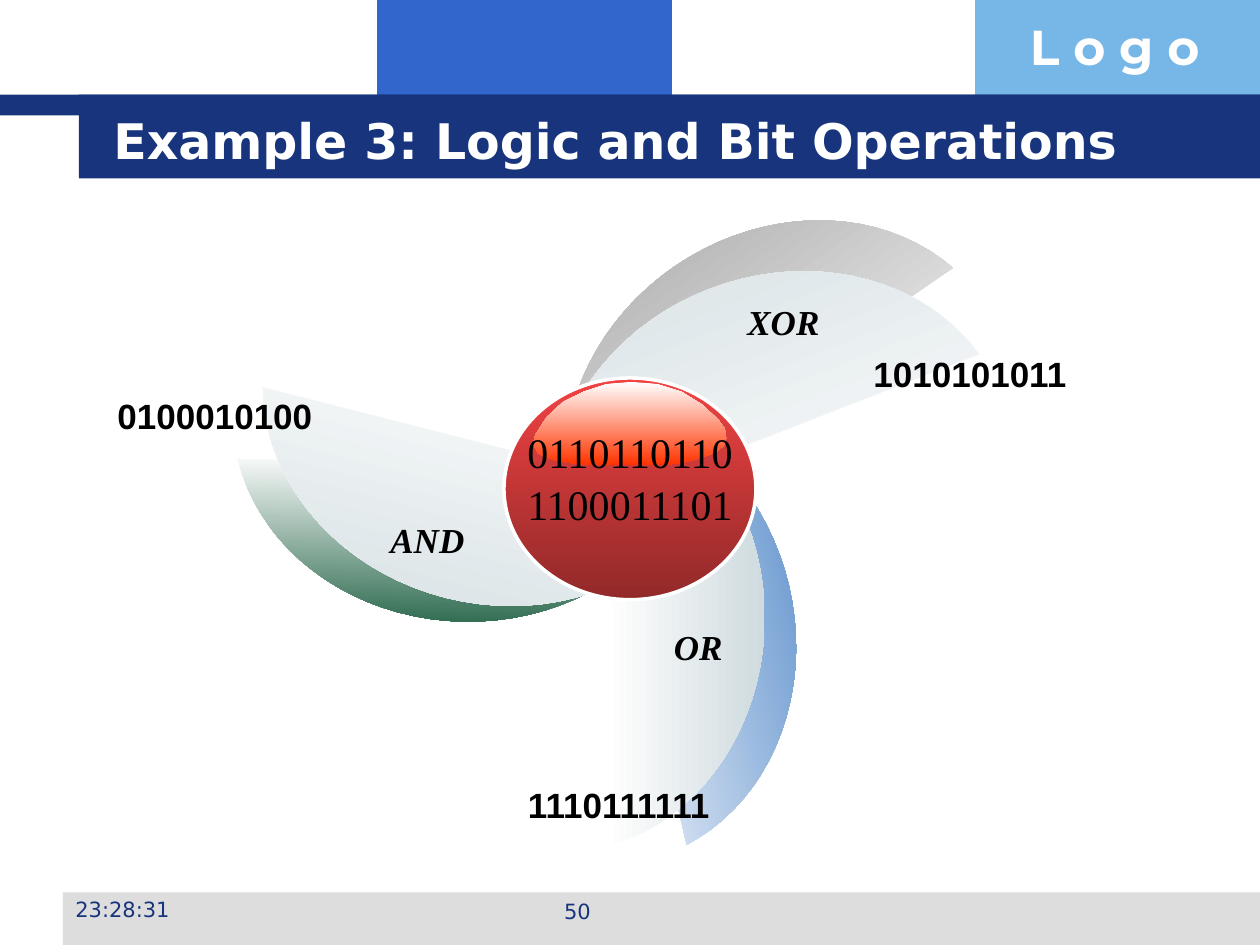
import math
from pptx import Presentation
from pptx.dml.color import RGBColor
from pptx.enum import shapes, text
from pptx.util import Pt

NAVY = RGBColor(0x17, 0x34, 0x7D)
BLUE = RGBColor(0x33, 0x66, 0xCC)
SKY = RGBColor(0x77, 0xB7, 0xE7)
GREY = RGBColor(0xDD, 0xDD, 0xDD)
WHITE = RGBColor(0xFF, 0xFF, 0xFF)
BLACK = RGBColor(0, 0, 0)
PALE = RGBColor(0xCF, 0xDB, 0xDF)
ROYAL = RGBColor(0x44, 0x7E, 0xC4)
GREEN = RGBColor(0x2A, 0x68, 0x4C)
SILVER = RGBColor(0x96, 0x96, 0x96)
RED = RGBColor(0xF1, 0x43, 0x43)
MAROON = RGBColor(0x92, 0x29, 0x29)
ORANGE = RGBColor(0xFF, 0x33, 0x00)

LEFT, CENTER, RIGHT = text.PP_ALIGN.LEFT, text.PP_ALIGN.CENTER, text.PP_ALIGN.RIGHT

TITLE = "Example 3: Logic and Bit Operations"
BARS = [
    (215.5, 0, 168.5, 66, BLUE),
    (557.3, 0, 162.7, 66, SKY),
    (36, 510, 684, 30, GREY),
    (0, 54, 720, 12, NAVY),
    (45, 54, 675, 48, NAVY),
]
BLADE_W, BLADE_H = 90.7, 261.2
BLADES = [
    (361.4, 214.6, 346.8, ROYAL),
    (220.3, 179.3, 91, GREEN),
    (365.8, 59, 235.5, SILVER),
    (346.3, 222.5, 0, PALE),
    (220.3, 167, 104.3, PALE),
    (375.8, 77, 248.7, PALE),
]
GLOSS = [
    (414, 244.8), (415.4, 250.6), (413.3, 254.9), (409, 258.5), (401, 261.4),
    (391, 264.2), (379.4, 265.7), (344.2, 265.7), (329, 265), (316.1, 262.8),
    (307.4, 259.2), (304.6, 253.4), (306, 248.4), (312.5, 238.3), (321.8, 229.7),
    (333.4, 223.9), (346.3, 219.6), (360.7, 218.2), (375.8, 219.6), (389.5, 223.9),
    (401, 231.1), (410.4, 239.8),
]
STYLES = {
    "logo": ("Montserrat", 28, WHITE, True, False),
    "title": ("DejaVu Sans", 28, WHITE, True, False),
    "footer": ("DejaVu Sans", 12, NAVY, False, False),
    "input": ("Times New Roman", 24, BLACK, False, False),
    "operator": ("Times New Roman", 20, BLACK, True, True),
    "result": ("Arial", 20, BLACK, True, False),
}
HEADER = [
    ("L o g o", 581.5, 5.8, 139, 41, "logo", LEFT),
    ("50", 246, 510, 168, 25, "footer", CENTER),
]
LABELS = [
    ("0110110110", 288, 240, 144, 36, "input", CENTER),
    ("AND", 216, 293, 66, 31, "operator", LEFT),
    ("0100010100", 60, 222, 126, 31, "result", LEFT),
    ("1110111111", 286.5, 444, 126, 31, "result", RIGHT),
    ("1100011101", 288, 270, 144, 36, "input", CENTER),
    ("OR", 378, 354, 66, 31, "operator", LEFT),
    ("XOR", 420, 168, 66, 31, "operator", LEFT),
    ("1010101011", 492, 198, 126, 31, "result", LEFT),
    ("23:28:31", 36, 509, 168, 25, "footer", LEFT),
]


def box(*lengths):
    return [Pt(v) for v in lengths]


def gradient(sp, start, end, angle):
    sp.fill.gradient()
    sp.fill.gradient_angle = angle
    for stop, color in zip(sp.fill.gradient_stops, (start, end)):
        stop.color.rgb = color


def outline(s, points):
    first, *rest = [box(*point) for point in points]
    fb = s.shapes.build_freeform(*first, scale=1.0)
    fb.add_line_segments(rest, close=True)
    sp = fb.convert_to_shape()
    sp.shadow.inherit = False
    sp.line.fill.background()
    return sp


def blade_points(x, y, steps=38):
    half, ry = BLADE_H / 2, 133.9
    end = math.asin(half / ry)
    rx = BLADE_W / (1 - math.cos(end))
    angles = [end * (2 * i / steps - 1) for i in range(steps + 1)]
    return [(x + rx * (math.cos(a) - math.cos(end)), y + half + ry * math.sin(a))
            for a in angles]


def style(p, name, align):
    p.alignment = align
    f = p.font
    f.name, f.size, f.color.rgb, f.bold, f.italic = (
        STYLES[name][0], Pt(STYLES[name][1]), *STYLES[name][2:])


def add_label(s, words, x, y, w, h, name, align):
    tf = s.shapes.add_textbox(*box(x, y, w, h)).text_frame
    tf.word_wrap = name != "result"
    tf.text = words
    style(tf.paragraphs[0], name, align)


def main():
    prs = Presentation()
    prs.slide_width, prs.slide_height = box(720, 540)
    s = prs.slides.add_slide(prs.slide_layouts[5])

    for *place, color in BARS:
        sp = s.shapes.add_shape(shapes.MSO_SHAPE.RECTANGLE, *box(*place))
        sp.shadow.inherit = False
        sp.fill.solid()
        sp.fill.fore_color.rgb = color
        sp.line.fill.background()

    for label in HEADER:
        add_label(s, *label)

    title = s.shapes.title
    title.element.getparent().append(title.element)
    title.left, title.top, title.width, title.height = box(57.6, 57.6, 614, 44.6)
    tf = title.text_frame
    tf.text = TITLE
    tf.auto_size = text.MSO_AUTO_SIZE.NONE
    tf.vertical_anchor = text.MSO_ANCHOR.MIDDLE
    style(tf.paragraphs[0], "title", LEFT)

    for x, y, turn, color in BLADES:
        sp = outline(s, blade_points(x, y))
        sp.rotation = turn
        gradient(sp, WHITE, color, 0)

    hub = s.shapes.add_shape(shapes.MSO_SHAPE.OVAL, *box(288, 216, 144, 126.7))
    hub.shadow.inherit = False
    gradient(hub, RED, MAROON, 270)
    hub.line.color.rgb = WHITE
    hub.line.width = Pt(2)
    gradient(outline(s, GLOSS), WHITE, ORANGE, 270)

    for label in LABELS:
        add_label(s, *label)

    prs.save("out.pptx")


if __name__ == "__main__":
    main()
